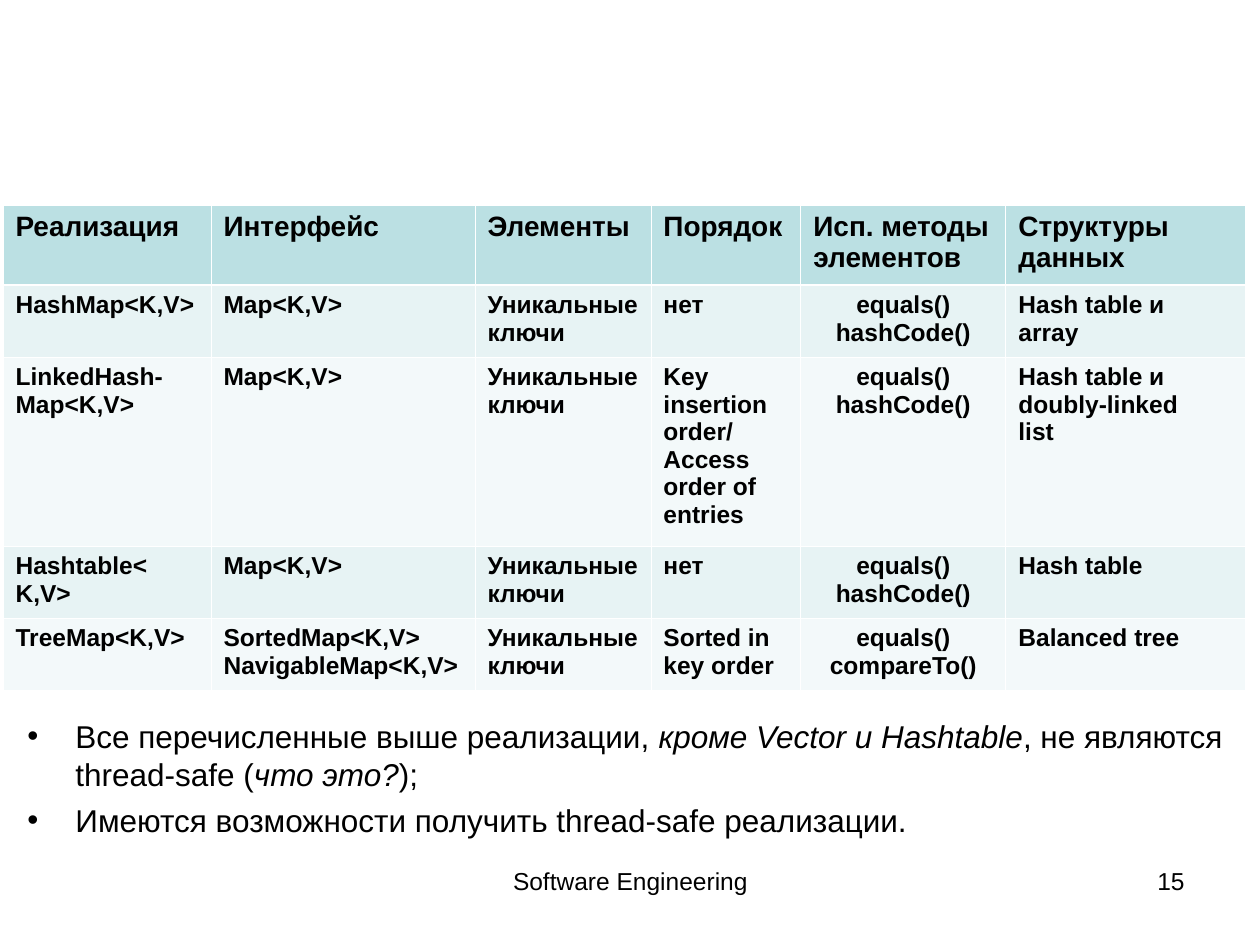
import dataclasses

import lxml.etree
import pptx
import pptx.dml.color
import pptx.enum.text
import pptx.oxml.ns
import pptx.util

RGB = pptx.dml.color.RGBColor
ALIGN = pptx.enum.text.PP_ALIGN
qn = pptx.oxml.ns.qn

BLACK = RGB(0x00, 0x00, 0x00)
WHITE = RGB(0xFF, 0xFF, 0xFF)
TEAL = RGB(0xBB, 0xE0, 0xE3)
BANDS = (RGB(0xE7, 0xF3, 0xF4), RGB(0xF3, 0xF9, 0xFA))
FONT = "Arial"
THIN, THICK = 0.45, 1.47
DPI = 126


@dataclasses.dataclass(frozen=True)
class Box:
    left: int
    top: int
    width: int
    height: int


@dataclasses.dataclass(frozen=True)
class Label:
    text: str
    box: Box
    align: ALIGN


LABELS = (
    Label("Software Engineering", Box(431, 860, 399, 66), ALIGN.CENTER),
    Label("15", Box(903, 860, 294, 66), ALIGN.RIGHT),
)

COLS = (208, 264, 176, 150, 205, 240)
ROWS = (80, 72, 189, 72, 72)
GRID = Box(3, 205, sum(COLS), sum(ROWS))
METHOD_COL = 4
KEYS = "Уникальные ключи"
HASHED = "equals()\nhashCode()"
CELLS = (
    ("Реализация", "Интерфейс", "Элементы", "Порядок",
     "Исп. методы элементов", "Структуры данных"),
    ("HashMap<K,V>", "Map<K,V>", KEYS, "нет", HASHED, "Hash table и\narray"),
    ("LinkedHash-\nMap<K,V>", "Map<K,V>", KEYS,
     "Key\ninsertion\norder/\nAccess\norder of\nentries", HASHED,
     "Hash table и\ndoubly-linked\nlist"),
    ("Hashtable<\nK,V>", "Map<K,V>", KEYS, "нет", HASHED, "Hash table"),
    ("TreeMap<K,V>", "SortedMap<K,V>\nNavigableMap<K,V>", KEYS,
     "Sorted in\nkey order", "equals()\ncompareTo()", "Balanced tree"),
)

NOTES_BOX = Box(15, 711, 1230, 139)
# Each note is a list of (text, italic) parts.
NOTES = (
    (("Все перечисленные выше реализации, ", False),
     ("кроме Vector и Hashtable", True),
     (", не являются thread-safe (", False),
     ("что это?", True),
     (");", False)),
    (("Имеются возможности получить thread-safe реализации.", False),),
)


def px(size: int) -> int:
    return pptx.util.Emu(size * pptx.util.Inches(1) // DPI)


def place(box: Box) -> tuple:
    return px(box.left), px(box.top), px(box.width), px(box.height)


def style(run, size: int, bold: bool = False, italic: bool = False) -> None:
    font = run.font
    font.name, font.size = FONT, pptx.util.Pt(size)
    font.bold, font.italic = bold, italic
    font.color.rgb = BLACK


def add_label(slide, label: Label) -> None:
    frame = slide.shapes.add_textbox(*place(label.box)).text_frame
    frame.word_wrap = True
    frame.text = label.text
    para = frame.paragraphs[0]
    para.alignment = label.align
    style(para.runs[0], 14)


def add_edge(cell, side: str, width: float) -> None:
    props = cell._tc.get_or_add_tcPr()
    line = lxml.etree.SubElement(props, qn(f"a:ln{side}"), w=str(pptx.util.Pt(width)))
    fill = lxml.etree.SubElement(line, qn("a:solidFill"))
    lxml.etree.SubElement(fill, qn("a:srgbClr"), val=str(WHITE))


def fill_cell(cell, text: str, row: int, col: int) -> None:
    head = row == 0
    add_edge(cell, "L", THIN)
    add_edge(cell, "R", THIN)
    add_edge(cell, "T", THICK if row == 1 else THIN)
    add_edge(cell, "B", THICK if head else THIN)
    cell.fill.solid()
    cell.fill.fore_color.rgb = TEAL if head else BANDS[(row - 1) % 2]
    cell.text_frame.text = text
    for para in cell.text_frame.paragraphs:
        centred = col == METHOD_COL and not head
        para.alignment = ALIGN.CENTER if centred else ALIGN.LEFT
        style(para.runs[0], 16 if head else 14, bold=True)


def add_grid(slide) -> None:
    table = slide.shapes.add_table(len(ROWS), len(COLS), *place(GRID)).table
    for col, width in zip(table.columns, COLS):
        col.width = px(width)
    for row, height in zip(table.rows, ROWS):
        row.height = px(height)
    for i, texts in enumerate(CELLS):
        for j, text in enumerate(texts):
            fill_cell(table.cell(i, j), text, i, j)


def add_bullet(para, indent: int) -> None:
    props = para._p.get_or_add_pPr()
    props.set("marL", str(px(indent)))
    props.set("indent", str(-px(indent)))
    lxml.etree.SubElement(props, qn("a:buFont"), typeface=FONT)
    lxml.etree.SubElement(props, qn("a:buChar"), char="•")


def add_notes(slide) -> None:
    """Draw the bulleted remarks below the table."""
    frame = slide.shapes.add_textbox(*place(NOTES_BOX)).text_frame
    frame.word_wrap = True
    for i, parts in enumerate(NOTES):
        para = frame.add_paragraph() if i else frame.paragraphs[0]
        para.space_before = pptx.util.Pt(4.5)
        add_bullet(para, 48)
        for text, italic in parts:
            run = para.add_run()
            run.text = text
            style(run, 18, italic=italic)


def main() -> None:
    deck = pptx.Presentation()
    deck.slide_width, deck.slide_height = px(1260), px(945)
    slide = deck.slides.add_slide(deck.slide_layouts[6])
    for label in LABELS:
        add_label(slide, label)
    add_grid(slide)
    add_notes(slide)
    deck.save("out.pptx")


if __name__ == "__main__":
    main()
